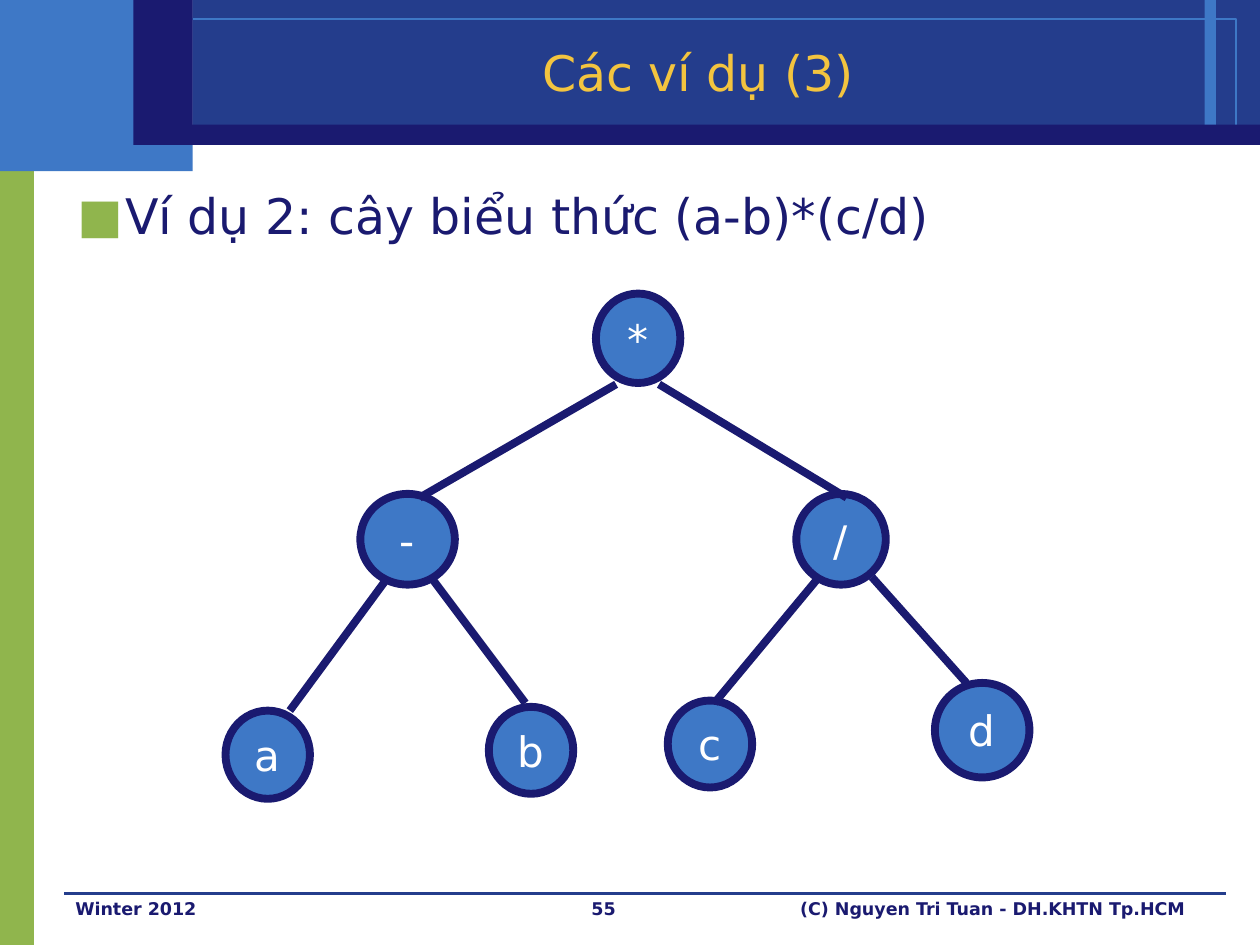
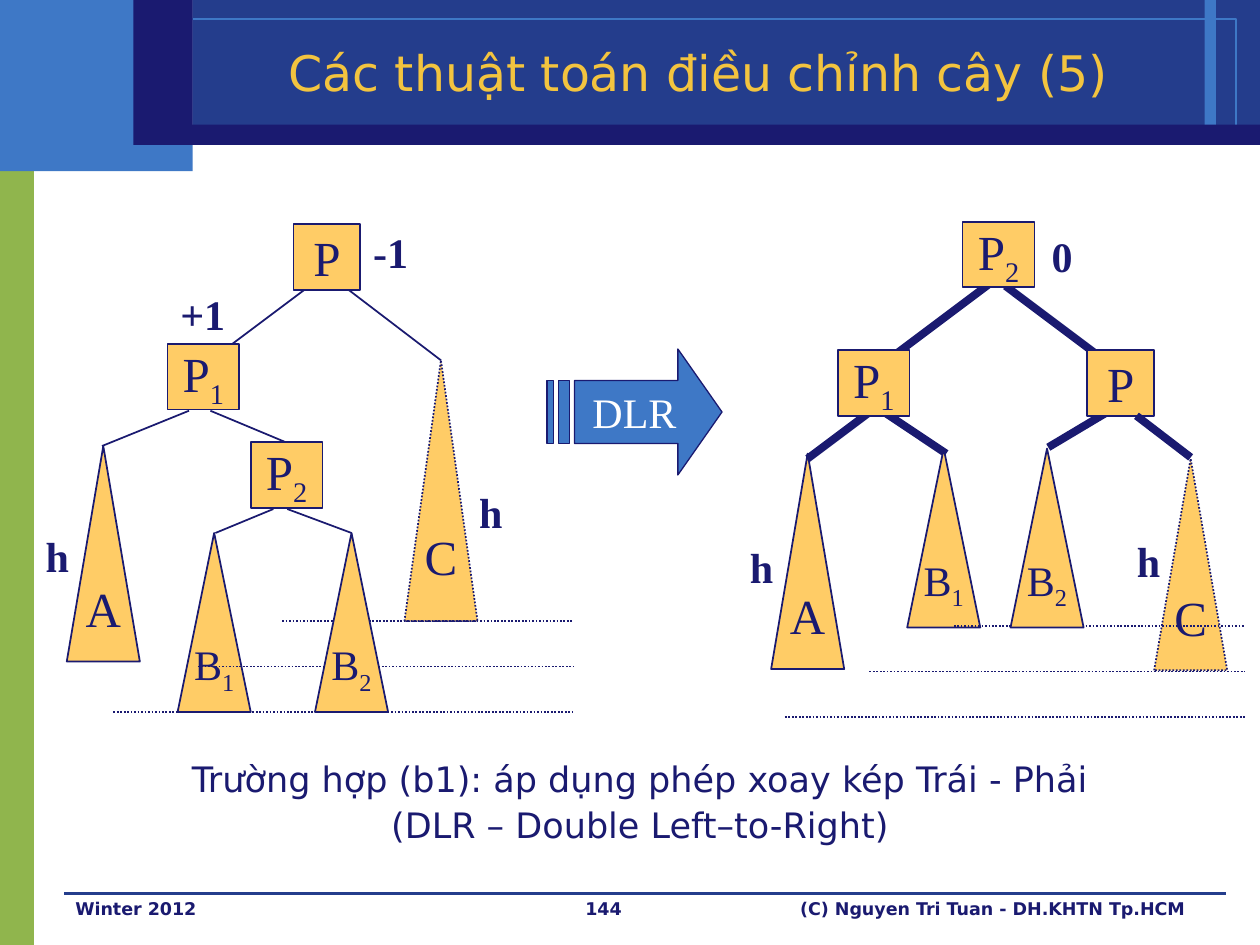
from lxml import etree
from pptx import Presentation
from pptx.dml.color import RGBColor
from pptx.enum.dml import MSO_LINE
from pptx.enum.shapes import MSO_CONNECTOR, MSO_SHAPE
from pptx.enum.text import MSO_ANCHOR, PP_ALIGN
from pptx.oxml.ns import qn
from pptx.util import Inches, Pt

RECTANGLE, OVAL, TRIANGLE = MSO_SHAPE.RECTANGLE, MSO_SHAPE.OVAL, MSO_SHAPE.ISOSCELES_TRIANGLE
STRAIGHT, DOTTED = MSO_CONNECTOR.STRAIGHT, MSO_LINE.ROUND_DOT
TOP, MIDDLE = MSO_ANCHOR.TOP, MSO_ANCHOR.MIDDLE
LEFT, CENTER, RIGHT = PP_ALIGN.LEFT, PP_ALIGN.CENTER, PP_ALIGN.RIGHT

NAVY, ROYAL, BLUE, GREEN = "1A1A70", "243D8C", "3E78C6", "90B54D"
GOLD, ORANGE, WHITE = "F3C43F", "FFCC66", "FFFFFF"
SANS, SERIF = "DejaVu Sans", "Times New Roman"

# Shared frame: left, top, width, height, fill, line
BANDS_BEHIND = [
    (0, 1.07, 0.27, 6.44, GREEN, None),
    (0, 0, 1.53, 1.36, BLUE, None),
    (1.53, 0, 8.47, 1.15, ROYAL, None),
    (9.56, 0, 0.09, 1, BLUE, None),
    (0.2, 0.15, 9.61, 0.85, None, BLUE),
    (1.3, 0.99, 8.7, 0.16, NAVY, None),
    (1.06, 0, 0.47, 1.15, NAVY, None),
]
FOOTER_DATE = "Winter 2012"
FOOTER_CREDIT = "(C) Nguyen Tri Tuan - DH.KHTN Tp.HCM"

# Expression tree: label, left, top, width, height
EXPRESSION_TITLE = "Các ví dụ (3)"
EXPRESSION_BULLET = "Ví dụ 2: cây biểu thức (a-b)*(c/d)"
EXPRESSION_NODES = [
    ("*", 4.73, 2.33, 0.67, 0.71),
    ("-", 2.86, 3.92, 0.75, 0.72),
    ("/", 6.32, 3.92, 0.71, 0.72),
    ("a", 1.79, 5.64, 0.67, 0.7),
    ("b", 3.88, 5.61, 0.67, 0.69),
    ("c", 5.3, 5.56, 0.67, 0.69),
    ("d", 7.42, 5.42, 0.75, 0.75),
]
EXPRESSION_EDGES = [
    (4.89, 3.05, 3.33, 3.95), (5.23, 3.05, 6.72, 3.95),
    (3.08, 4.58, 2.3, 5.64), (3.42, 4.58, 4.17, 5.58),
    (6.5, 4.58, 5.67, 5.58), (6.92, 4.58, 7.67, 5.42),
]

# Rotation trees: nodes are name, left, top; subtrees add a height
ROTATION_TITLE = "Các thuật toán điều chỉnh cây (5)"
ROTATION_CAPTION = ["Trường hợp (b1): áp dụng phép xoay kép Trái - Phải",
                    "(DLR – Double Left–to-Right)"]
BEFORE_ROTATION = {
    "edge_width": 1,
    "edges": [(2.74, 2.28, 3.5, 2.86), (2.63, 2.14, 1.67, 2.86),
              (0.81, 3.54, 1.5, 3.26), (1.67, 3.26, 2.34, 3.54),
              (1.71, 4.23, 2.17, 4.04), (2.79, 4.23, 2.28, 4.04)],
    "nodes": [("A", 0.53, 3.54, 1.71), ("P", 2.33, 1.78), ("P1", 1.33, 2.73),
              ("B1", 1.41, 4.23, 1.42), ("C", 3.21, 2.86, 2.07)],
    "top_level": (2.24, 4.93, 4.55),
    "front_nodes": [("P2", 1.99, 3.51), ("B2", 2.5, 4.23, 1.42)],
    "front_edges": [],
    "labels": [("h", 0.13, 4.16, 0.65), ("h", 3.57, 3.81, 0.65),
               ("-1", 2.82, 1.75, 0.56), ("+1", 1.33, 2.24, 0.56)],
}
AFTER_ROTATION = {
    "edge_width": 4.5,
    "edges": [(8.32, 3.55, 8.79, 3.27), (7, 3.26, 7.51, 3.6), (6.41, 3.64, 6.89, 3.28),
              (7.95, 2.18, 6.99, 2.9), (7.98, 2.27, 8.82, 2.9)],
    "nodes": [("A", 6.12, 3.6, 1.71), ("P", 8.63, 2.78), ("P1", 6.65, 2.78),
              ("B1", 7.2, 3.56, 1.42), ("C", 9.16, 3.64, 1.68)],
    "top_level": (7.57, 4.97, 9.88),
    "front_nodes": [("P2", 7.64, 1.76), ("B2", 8.02, 3.56, 1.42)],
    "front_edges": [(9.45, 3.63, 9.02, 3.3)],
    "labels": [("h", 5.72, 4.25, 0.65), ("h", 8.79, 4.2, 0.65), ("0", 8.15, 1.78, 0.56)],
}
LEVEL_COUNT, LEVEL_STEP_LEFT, LEVEL_STEP_DOWN = 3, 0.67, 0.36
SUBTREE_WIDTH, BOX_HEIGHT = 0.58, 0.52

ARROW_TEXT = "DLR"
ARROW_OUTLINES = [
    [(5.38, 2.77), (5.38, 3.02), (4.56, 3.02), (4.56, 3.52),
     (5.38, 3.52), (5.38, 3.77), (5.73, 3.27)],
    [(4.43, 3.02), (4.43, 3.52), (4.52, 3.52), (4.52, 3.02)],
    [(4.34, 3.02), (4.34, 3.52), (4.39, 3.52), (4.39, 3.02)],
]


def color(value):
    return RGBColor.from_string(value)


def style_paragraph(paragraph, size, font, text_color, align, bold=False):
    paragraph.alignment = align
    paragraph.font.size = Pt(size)
    paragraph.font.name = font
    paragraph.font.bold = bold
    paragraph.font.color.rgb = color(text_color)


def style_shape(shape, fill, line, line_width):
    shape.shadow.inherit = False
    if fill:
        shape.fill.solid()
        shape.fill.fore_color.rgb = color(fill)
    else:
        shape.fill.background()
    if line:
        shape.line.color.rgb = color(line)
        shape.line.width = Pt(line_width)
    else:
        shape.line.fill.background()


def add_box(slide, kind, box, fill, line=None, line_width=0):
    shape = slide.shapes.add_shape(kind, *map(Inches, box))
    style_shape(shape, fill, line, line_width)
    return shape


def add_label(shape, text, size, font, text_color, subscript=""):
    """Centre one unwrapped line in the shape, with an optional subscript."""
    frame = shape.text_frame
    frame.word_wrap = False
    frame.vertical_anchor = MIDDLE
    paragraph = frame.paragraphs[0]
    paragraph.add_run().text = text
    if subscript:
        run = paragraph.add_run()
        run.text = subscript
        run.font._element.set("baseline", "-25000")
    style_paragraph(paragraph, size, font, text_color, CENTER)


def add_text(slide, box, lines, size, font=SANS, align=LEFT, bold=False):
    frame = slide.shapes.add_textbox(*map(Inches, box)).text_frame
    frame.word_wrap = True
    frame.vertical_anchor = TOP
    frame.text = "\n".join(lines)
    for paragraph in frame.paragraphs:
        style_paragraph(paragraph, size, font, NAVY, align, bold)
    return frame


def add_line(slide, ends, width, line_color=NAVY, dash=None):
    connector = slide.shapes.add_connector(STRAIGHT, *map(Inches, ends))
    connector.line.color.rgb = color(line_color)
    connector.line.width = Pt(width)
    if dash:
        connector.line.dash_style = dash
    etree.SubElement(connector.element.spPr, qn("a:effectLst"))


def add_framed_slide(presentation, title_text, number):
    """Add a slide with the bands, title and footer that all slides share."""
    slide = presentation.slides.add_slide(presentation.slide_layouts[5])
    for *box, fill, line in BANDS_BEHIND:
        add_box(slide, RECTANGLE, box, fill, line)
    add_line(slide, (0.51, 7.09, 9.73, 7.09), 0, ROYAL)
    for left, width, text, align in [(4, 1.58, number, CENTER),
                                     (0.5, 2.33, FOOTER_DATE, LEFT),
                                     (5.92, 3.58, FOOTER_CREDIT, RIGHT)]:
        add_text(slide, (left, 7.08, width, 0.42), [text], 10, align=align, bold=True)

    title = slide.shapes.title
    title.left, title.top, title.width, title.height = map(Inches, (1.5, 0.26, 8.08, 0.62))
    title.text_frame.text = title_text
    title.text_frame.vertical_anchor = MIDDLE
    style_paragraph(title.text_frame.paragraphs[0], 28, SANS, GOLD, CENTER)
    title.element.getparent().append(title.element)  # in front of the bands
    return slide


def add_square_bullet(paragraph):
    properties = paragraph._p.get_or_add_pPr()
    properties.set("marL", str(Inches(0.38)))
    properties.set("indent", str(-Inches(0.38)))
    bullet_color = etree.SubElement(properties, qn("a:buClr"))
    etree.SubElement(bullet_color, qn("a:srgbClr"), val=GREEN)
    etree.SubElement(properties, qn("a:buSzPct"), val="150000")
    etree.SubElement(properties, qn("a:buFont"), typeface=SANS)
    etree.SubElement(properties, qn("a:buChar"), char="▪")


def add_tree_node(slide, name, left, top, subtree_height=None):
    """Draw a square node, or a triangle when a subtree height is given."""
    letter, subscript = name[0], name[1:]
    if subtree_height:
        kind, width, height = TRIANGLE, SUBTREE_WIDTH, subtree_height
        size = 24 if subscript else 28
    else:
        kind, width, height = RECTANGLE, 0.57 if subscript else 0.53, BOX_HEIGHT
        size = 28
    shape = add_box(slide, kind, (left, top, width, height), ORANGE, NAVY, 1)
    if name == "C":
        shape.line.dash_style = DOTTED
    add_label(shape, letter, size, SERIF, NAVY, subscript)


def add_rotation_tree(slide, tree):
    for edge in tree["edges"]:
        add_line(slide, edge, tree["edge_width"])
    for node in tree["nodes"]:
        add_tree_node(slide, *node)
    start, top, end = tree["top_level"]
    for level in range(LEVEL_COUNT):
        y = top + level * LEVEL_STEP_DOWN
        add_line(slide, (start - level * LEVEL_STEP_LEFT, y, end, y), 1, dash=DOTTED)
    for node in tree["front_nodes"]:
        add_tree_node(slide, *node)
    for edge in tree["front_edges"]:
        add_line(slide, edge, tree["edge_width"])
    for text, left, label_top, width in tree["labels"]:
        add_text(slide, (left, label_top, width, 0.5), [text], 24, SERIF, CENTER, True)


def add_striped_arrow(slide):
    outlines = [[(Inches(x), Inches(y)) for x, y in outline] for outline in ARROW_OUTLINES]
    builder = slide.shapes.build_freeform(*outlines[0][0])
    for index, (start, *others) in enumerate(outlines):
        if index:
            builder.move_to(*start)
        builder.add_line_segments(others, close=True)
    arrow = builder.convert_to_shape()
    style_shape(arrow, BLUE, NAVY, 0.75)
    add_label(arrow, ARROW_TEXT, 24, SERIF, WHITE)


def build_expression_slide(presentation):
    slide = add_framed_slide(presentation, EXPRESSION_TITLE, "55")
    frame = add_text(slide, (0.5, 1.42, 9.17, 5.58), [], 28)
    paragraph = frame.paragraphs[0]
    paragraph.clear()
    paragraph._p.remove(paragraph._p.get_or_add_pPr())
    paragraph.text = EXPRESSION_BULLET
    add_square_bullet(paragraph)
    style_paragraph(paragraph, 28, SANS, NAVY, LEFT)
    for label, *box in EXPRESSION_NODES:
        node = add_box(slide, OVAL, box, BLUE, NAVY, 4.5)
        add_label(node, label, 24, SANS, WHITE)
    for edge in EXPRESSION_EDGES:
        add_line(slide, edge, 4.5)


def build_rotation_slide(presentation):
    slide = add_framed_slide(presentation, ROTATION_TITLE, "144")
    add_rotation_tree(slide, BEFORE_ROTATION)
    add_striped_arrow(slide)
    caption = add_text(slide, (0.83, 6, 8.5, 0.6), ROTATION_CAPTION, 20, align=CENTER)
    for index, paragraph in enumerate(caption.paragraphs):
        paragraph.line_spacing = 0.9
        paragraph.space_before = Pt(5 if index else 0)
    add_rotation_tree(slide, AFTER_ROTATION)


def main():
    presentation = Presentation()
    presentation.slide_width, presentation.slide_height = Inches(10), Inches(7.5)
    build_expression_slide(presentation)
    build_rotation_slide(presentation)
    presentation.save("out.pptx")


if __name__ == "__main__":
    main()
